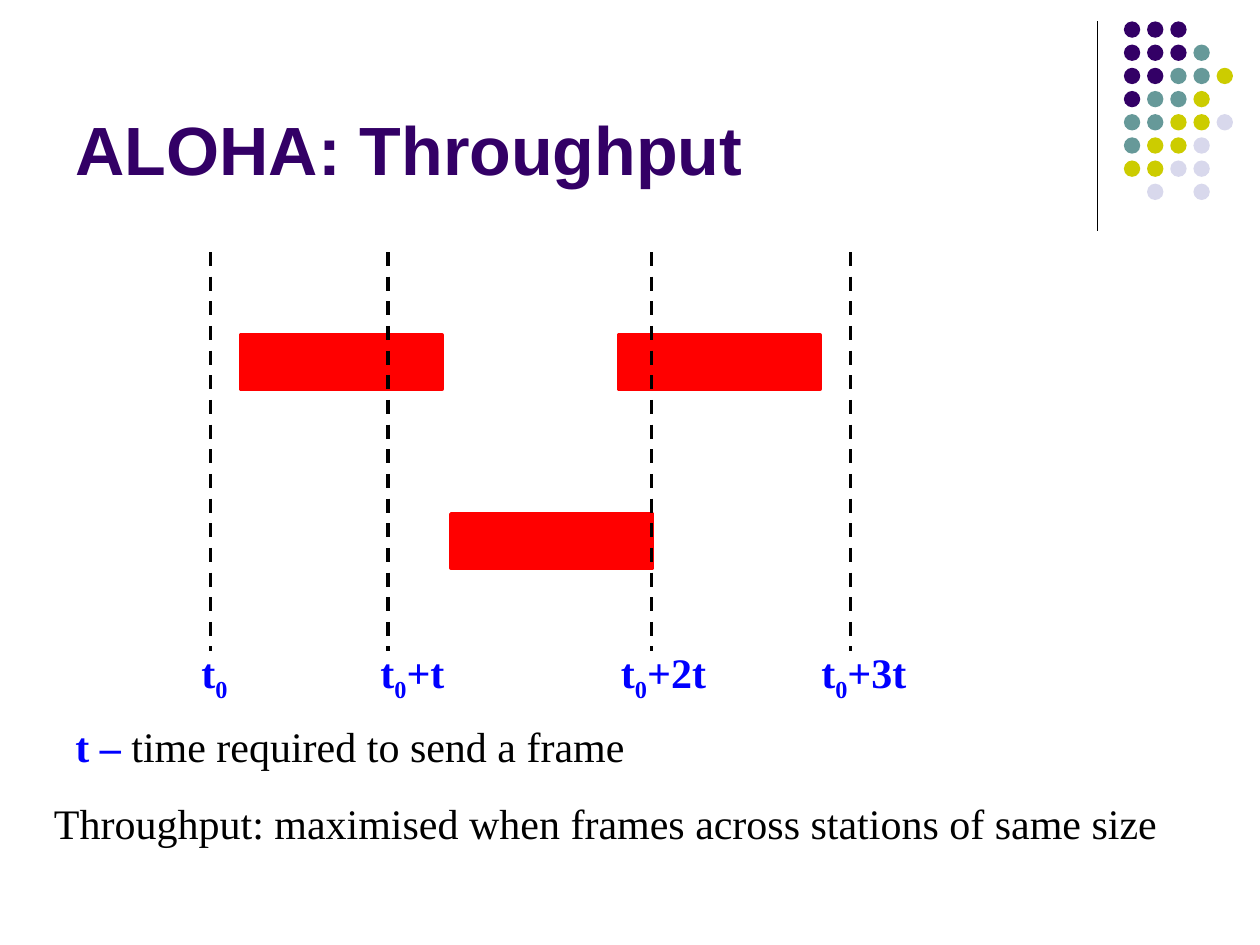
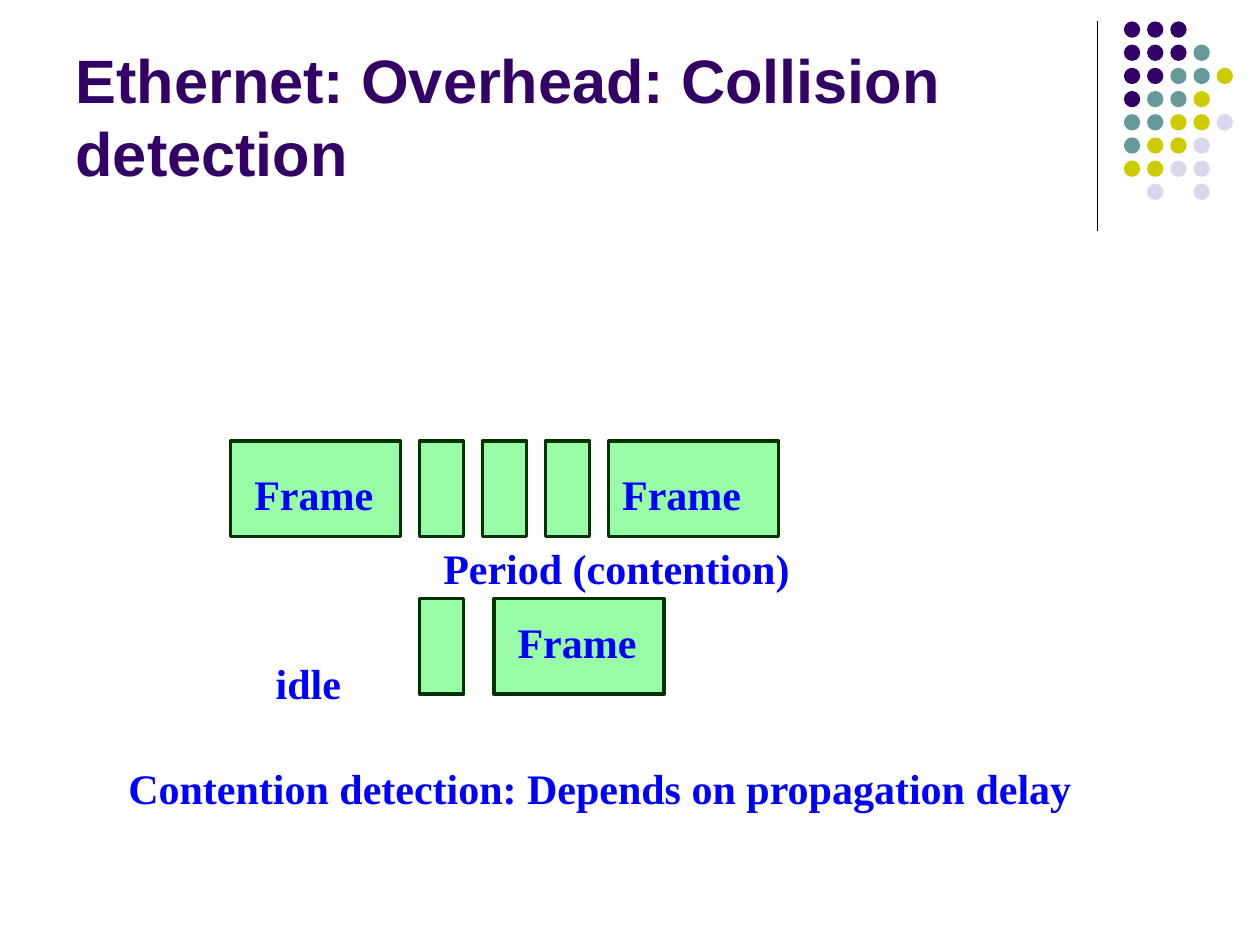
import pptx
import pptx.dml.color
import pptx.enum.dml
import pptx.enum.shapes
import pptx.enum.text
import pptx.oxml.ns
import pptx.util
from lxml import etree

Inches, Pt = pptx.util.Inches, pptx.util.Pt
RGBColor = pptx.dml.color.RGBColor

PURPLE = RGBColor(0x33, 0x00, 0x66)
TEAL = RGBColor(0x66, 0x99, 0x99)
OLIVE = RGBColor(0xCC, 0xCC, 0x00)
LAVENDER = RGBColor(0xD8, 0xD8, 0xEC)
BLACK = RGBColor(0x00, 0x00, 0x00)
BLUE = RGBColor(0x00, 0x00, 0xFF)
RED = RGBColor(0xFF, 0x00, 0x00)
MINT = RGBColor(0x98, 0xFC, 0xA6)
DARK_GREEN = RGBColor(0x00, 0x33, 0x00)

TITLE_FONT, BODY_FONT = "Arial", "Times New Roman"
BODY_SIZE = Pt(24)
SUBSCRIPT = "-25000"

# Corner ornament: one letter per dot, a space where there is none
DOT_COLOURS = {"P": PURPLE, "T": TEAL, "O": OLIVE, "L": LAVENDER}
DOT_ROWS = ["PPP", "PPPT", "PPTTO", "PTTO", "TTOOL", "TOOL", "OOLL", " L L"]
DOT_LEFT, DOT_TOP, DOT_SIZE, DOT_PITCH = 8.92, 0.17, 0.13, 0.184

# Throughput slide
FRAME_SIZE = (1.6, 0.43)
SENT_FRAMES = [(1.91, 2.66), (3.58, 4.08), (4.91, 2.66)]
TIME_TOP, TIME_BOTTOM = 2, 5.17
# line position, label left, label width, text after the subscript
TIME_MARKS = [
    (1.67, 1.5, 0.75, ""),
    (3.08, 2.92, 0.75, "+t"),
    (5.17, 4.83, 1.17, "+2t"),
    (6.75, 6.42, 1.5, "+3t"),
]
DEFINITION = [("t – ", BLUE, True), ("time required to send a frame", BLACK, False)]
CONCLUSION = [("Throughput: maximised when frames across stations of same size", BLACK, False)]

# Collision detection slide
BLOCK_HEIGHT, FRAME_WIDTH, SLOT_WIDTH = 0.76, 1.35, 0.35
FIRST_SLOT, SLOT_PITCH = 3.33, 0.5
UPPER_ROW, LOWER_ROW = 3.5, 4.75
BLOCKS = [
    (1.83, UPPER_ROW, FRAME_WIDTH),
    (4.83, UPPER_ROW, FRAME_WIDTH),
    *[(FIRST_SLOT + i * SLOT_PITCH, UPPER_ROW, SLOT_WIDTH) for i in range(3)],
    (FIRST_SLOT, LOWER_ROW, SLOT_WIDTH),
    (3.92, LOWER_ROW, FRAME_WIDTH),
]
CAPTIONS = [
    ("Frame", 1.92, 3.67, 1.17),
    ("Frame", 4.84, 3.67, 1.17),
    ("Period (contention)", 3.42, 4.26, 4.75),
    ("Frame", 4.01, 4.84, 1.17),
    ("idle", 2.09, 5.17, 1.17),
    ("Contention detection: Depends on propagation delay", 0.92, 6, 7.77),
]


def add_block(slide, kind, left, top, width, height, fill, outline=None):
    block = slide.shapes.add_shape(
        kind, Inches(left), Inches(top), Inches(width), Inches(height))
    block.shadow.inherit = False
    block.fill.solid()
    block.fill.fore_color.rgb = fill
    if outline is None:
        block.line.fill.background()
    else:
        block.line.color.rgb = outline
        block.line.width = Pt(2)


def add_vertical(slide, x, top, bottom, weight, dash=None):
    line = slide.shapes.add_connector(
        pptx.enum.shapes.MSO_CONNECTOR.STRAIGHT,
        Inches(x), Inches(top), Inches(x), Inches(bottom))
    line.line.color.rgb = BLACK
    line.line.width = Pt(weight)
    if dash is not None:
        line.line.dash_style = dash
    etree.SubElement(line.element.spPr, pptx.oxml.ns.qn("a:effectLst"))


def add_run(paragraph, text, font, size, colour, bold):
    run = paragraph.add_run()
    run.text = text
    run.font.name = font
    run.font.size = size
    run.font.color.rgb = colour
    run.font.bold = bold
    return run


def add_text_frame(slide, left, top, width, height):
    frame = slide.shapes.add_textbox(
        Inches(left), Inches(top), Inches(width), Inches(height)).text_frame
    frame.word_wrap = True
    return frame


def add_corner_ornament(slide):
    add_vertical(slide, 8.71, 0.17, 1.83, 0.75)
    for row, letters in enumerate(DOT_ROWS):
        for column, letter in enumerate(letters):
            if letter in DOT_COLOURS:
                add_block(slide, pptx.enum.shapes.MSO_SHAPE.OVAL,
                          DOT_LEFT + column * DOT_PITCH, DOT_TOP + row * DOT_PITCH,
                          DOT_SIZE, DOT_SIZE, DOT_COLOURS[letter])


def add_titled_slide(deck, heading, size):
    slide = deck.slides.add_slide(deck.slide_layouts[5])
    add_corner_ornament(slide)
    title = slide.shapes.title
    title.left, title.top = Inches(0.5), Inches(0.13)
    title.width, title.height = Inches(8.25), Inches(1.42)
    frame = title.text_frame
    frame.word_wrap = True
    frame.auto_size = pptx.enum.text.MSO_AUTO_SIZE.NONE
    frame.vertical_anchor = pptx.enum.text.MSO_ANCHOR.BOTTOM
    paragraph = frame.paragraphs[0]
    paragraph.alignment = pptx.enum.text.PP_ALIGN.LEFT
    add_run(paragraph, heading, TITLE_FONT, Pt(size), PURPLE, True)
    return slide


def add_throughput_slide(deck):
    slide = add_titled_slide(deck, "ALOHA: Throughput", 39)
    for left, top in SENT_FRAMES:
        add_block(slide, pptx.enum.shapes.MSO_SHAPE.RECTANGLE,
                  left, top, *FRAME_SIZE, RED, RED)

    for x, label_left, label_width, offset in TIME_MARKS:
        add_vertical(slide, x, TIME_TOP, TIME_BOTTOM, 2,
                     pptx.enum.dml.MSO_LINE.DASH)
        label = add_text_frame(slide, label_left, 5.08, label_width, 0.56).paragraphs[0]
        add_run(label, "t", BODY_FONT, BODY_SIZE, BLUE, True)
        index = add_run(label, "0", BODY_FONT, BODY_SIZE, BLUE, True)
        index.font._element.set("baseline", SUBSCRIPT)
        if offset:
            add_run(label, offset, BODY_FONT, BODY_SIZE, BLUE, True)

    notes = add_text_frame(slide, 0.33, 5.67, 9.25, 1.11)
    definition, conclusion = notes.paragraphs[0], notes.add_paragraph()
    definition._p.get_or_add_pPr().set("marL", str(Inches(0.17)))
    conclusion.space_before = Pt(15)
    for paragraph, pieces in ((definition, DEFINITION), (conclusion, CONCLUSION)):
        for text, colour, bold in pieces:
            add_run(paragraph, text, BODY_FONT, BODY_SIZE, colour, bold)


def add_collision_slide(deck):
    slide = add_titled_slide(deck, "Ethernet: Overhead: Collision detection", 35)
    for left, top, width in BLOCKS:
        add_block(slide, pptx.enum.shapes.MSO_SHAPE.RECTANGLE,
                  left, top, width, BLOCK_HEIGHT, MINT, DARK_GREEN)
    for text, left, top, width in CAPTIONS:
        caption = add_text_frame(slide, left, top, width, 0.5).paragraphs[0]
        add_run(caption, text, BODY_FONT, BODY_SIZE, BLUE, True)


def main():
    deck = pptx.Presentation()
    deck.slide_width, deck.slide_height = Inches(10), Inches(7.5)
    add_throughput_slide(deck)
    add_collision_slide(deck)
    deck.save("out.pptx")


if __name__ == "__main__":
    main()
